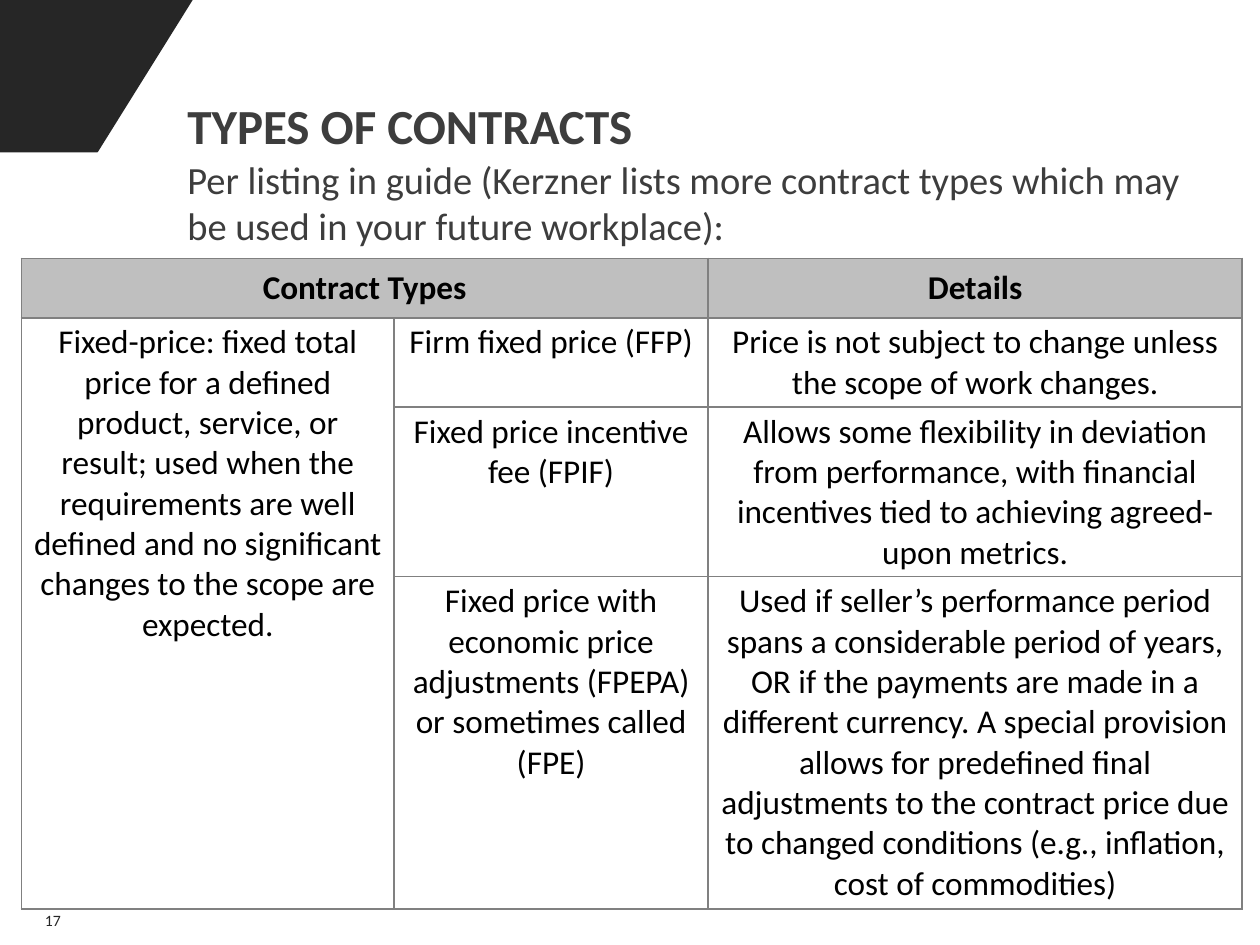
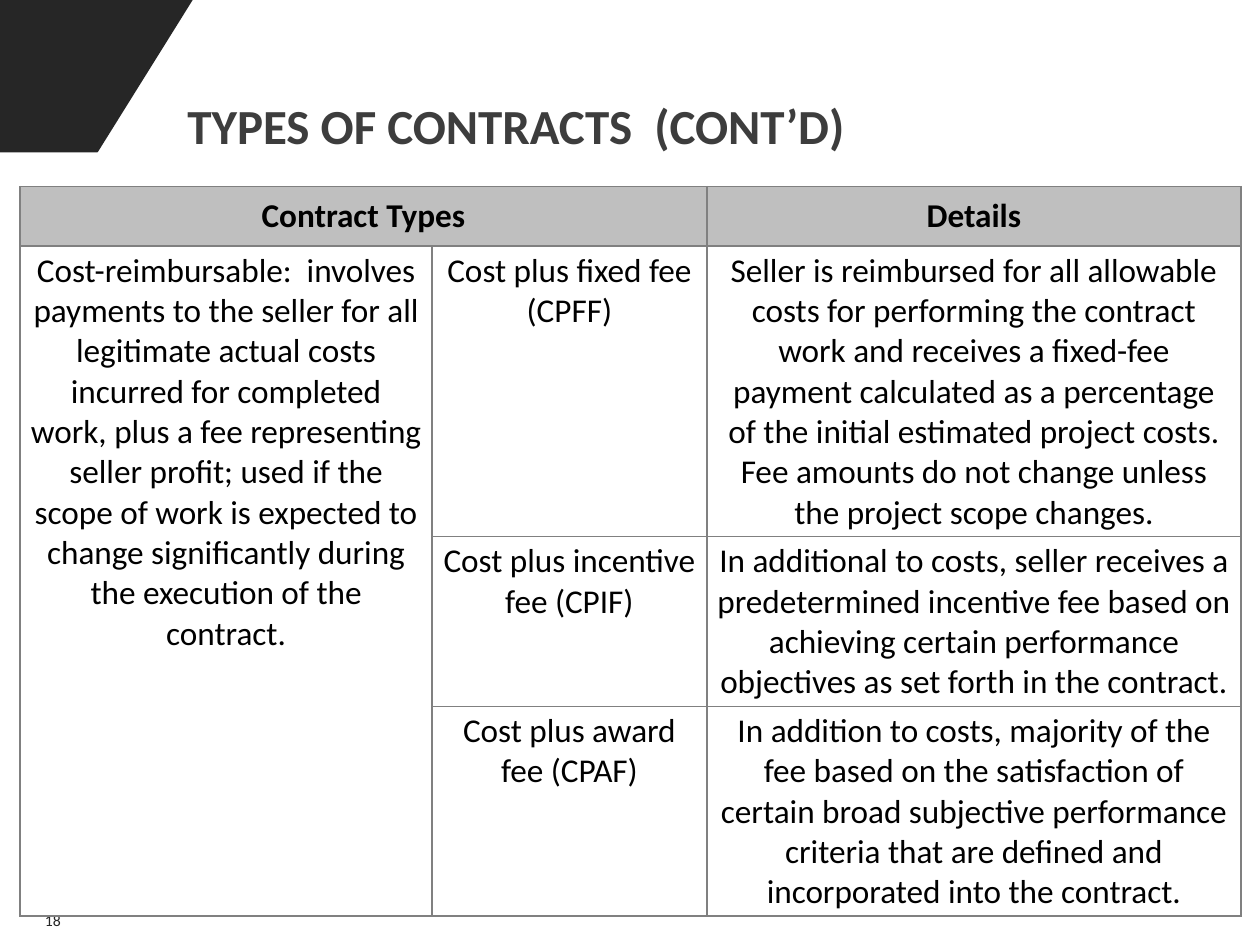
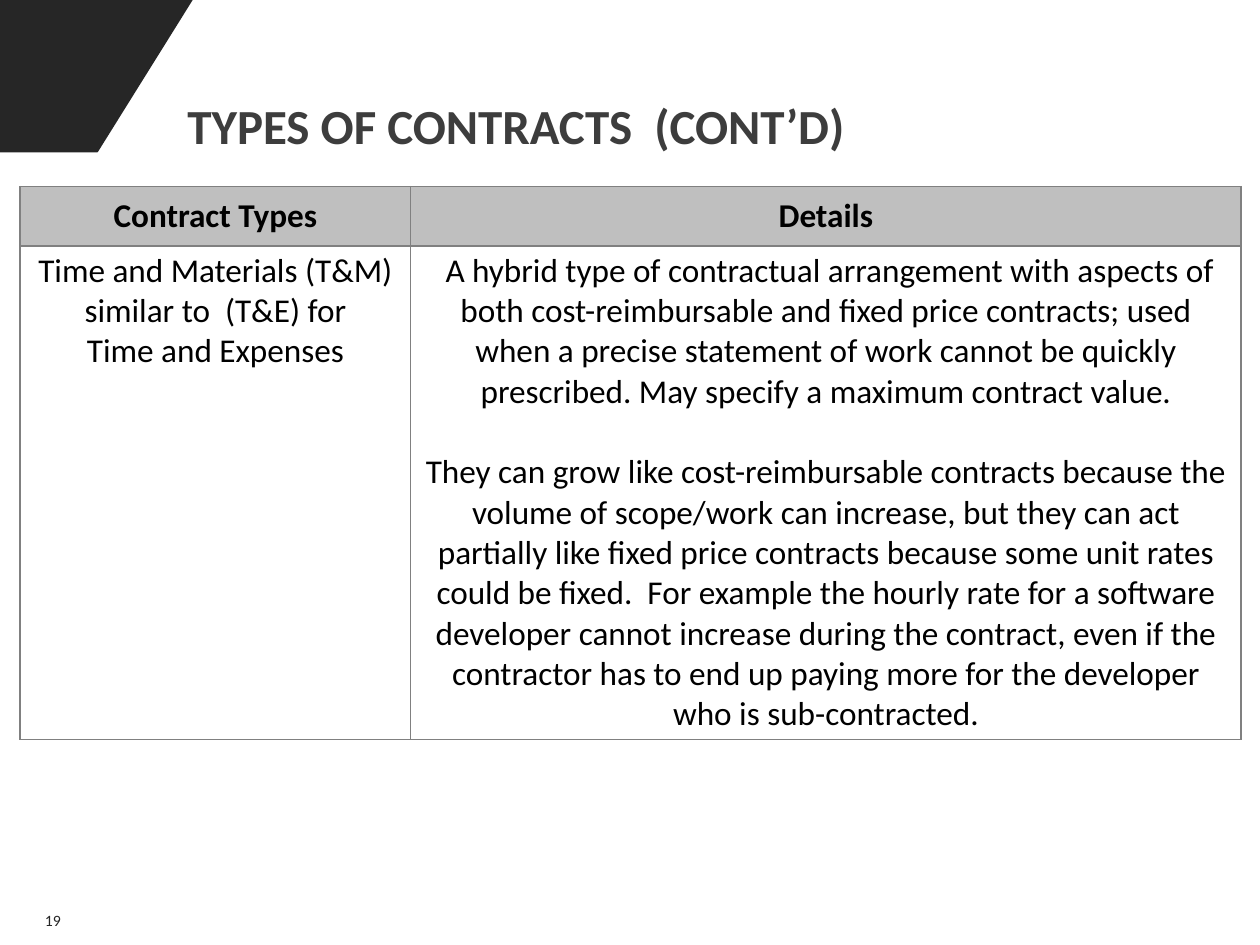
from lxml.etree import SubElement
from pptx import Presentation
from pptx.dml.color import RGBColor
from pptx.enum.shapes import MSO_SHAPE
from pptx.enum.text import MSO_ANCHOR, PP_ALIGN
from pptx.oxml.ns import qn
from pptx.util import Pt

DARK = RGBColor(0x26, 0x26, 0x26)
INK = RGBColor(0x3D, 0x3D, 0x3D)
BLACK = RGBColor(0, 0, 0)
HEAD = RGBColor(0xBF, 0xBF, 0xBF)
RULE = RGBColor(0x80, 0x80, 0x80)
FONT = "Calibri"
SIZE = 19
LINE = 23  # height of one line of table text
HEAD_ROW = 34

TITLE_BOX = (100, 31, 618.5, 61.2)
LEAD_BOX = (100, 85.7, 592.6, 78.5)
PAGE_BOX = (0, 511.2, 60.5, 28.8)

NEXT = "TYPES OF CONTRACTS  (CONT’D)"
LEAD = ("Per listing in guide (Kerzner lists more contract types which "
        "may be used in your future workplace):")

FIXED = (
    "Fixed-price: fixed total price for a defined product, service, or result; used when "
    "the requirements are well defined and no significant changes to the scope are expected.",
    [("Firm fixed price (FFP)",
      "Price is not subject to change unless the scope of work changes."),
     ("Fixed price incentive fee (FPIF)",
      "Allows some flexibility in deviation from performance, with financial incentives "
      "tied to achieving agreed-upon metrics."),
     ("Fixed price with economic price adjustments (FPEPA) or sometimes called (FPE)",
      "Used if seller’s performance period spans a considerable period of years, OR if the "
      "payments are made in a different currency. A special provision allows for predefined "
      "final adjustments to the contract price due to changed conditions (e.g., inflation, "
      "cost of commodities)")])

COST = (
    "Cost-reimbursable:  involves payments to the seller for all legitimate actual costs "
    "incurred for completed work, plus a fee representing seller profit; used if the scope "
    "of work is expected to change significantly during the execution of the contract.",
    [("Cost plus fixed fee (CPFF)",
      "Seller is reimbursed for all allowable costs for performing the contract work and "
      "receives a fixed-fee payment calculated as a percentage of the initial estimated "
      "project costs. Fee amounts do not change unless the project scope changes."),
     ("Cost plus incentive fee (CPIF)",
      "In additional to costs, seller receives a predetermined incentive fee based on "
      "achieving certain performance objectives as set forth in the contract."),
     ("Cost plus award fee (CPAF)",
      "In addition to costs, majority of the fee based on the satisfaction of certain broad "
      "subjective performance criteria that are defined and incorporated into the contract.")])

TIME = "Time and Materials (T&M)\nsimilar to  (T&E) for\nTime and Expenses"
HYBRID = (
    " A hybrid type of contractual arrangement with aspects of both cost-reimbursable and "
    "fixed price contracts; used when a precise statement of work cannot be quickly "
    "prescribed. May specify a maximum contract value.\n"
    "They can grow like cost-reimbursable contracts because the volume of scope/work can "
    "increase, but they can act partially like fixed price contracts because some unit rates "
    "could be fixed.  For example the hourly rate for a software developer cannot increase "
    "during the contract, even if the contractor has to end up paying more for the developer "
    "who is sub-contracted.")


def write(frame, text, size, color, bold=False, align=PP_ALIGN.LEFT, gap=0):
    """Fill a text frame, one paragraph per line of text, and return the first."""
    for i, line in enumerate(text.split("\n")):
        para = frame.add_paragraph() if i else frame.paragraphs[0]
        para.alignment = align
        if i and gap:
            para.space_before = Pt(gap)
        run = para.add_run()
        run.text = line
        font = run.font
        font.name, font.size, font.bold = FONT, Pt(size), bold
        font.color.rgb = color
    return frame.paragraphs[0]


def add_text(slide, box, text, size, color, anchor=MSO_ANCHOR.TOP, **style):
    frame = slide.shapes.add_textbox(*map(Pt, box)).text_frame
    frame.word_wrap = True
    frame.vertical_anchor = anchor
    return write(frame, text, size, color, **style)


def add_block(slide, kind, box):
    shape = slide.shapes.add_shape(kind, *map(Pt, box))
    shape.shadow.inherit = False
    shape.fill.solid()
    shape.fill.fore_color.rgb = DARK
    shape.line.fill.background()
    return shape


def add_base(deck, title, page):
    """Start a slide with the corner band, title and page number."""
    slide = deck.slides.add_slide(deck.slide_layouts[6])
    slant = add_block(slide, MSO_SHAPE.TRAPEZOID, (1.4, 0, 108.7, 87.1))
    slant.adjustments[0] = 0.775
    slant.rotation = 180
    add_block(slide, MSO_SHAPE.RECTANGLE, (-0.7, 0, 56.2, 87.1))
    para = add_text(slide, TITLE_BOX, title, 28, INK, MSO_ANCHOR.BOTTOM, bold=True)
    para.line_spacing = 0.9
    add_text(slide, PAGE_BOX, str(page), 9, DARK, MSO_ANCHOR.MIDDLE, align=PP_ALIGN.CENTER)
    return slide


def add_rules(cell):
    """Draw a line on all four sides of a cell."""
    props = cell._tc.get_or_add_tcPr()
    for side in ("lnL", "lnR", "lnT", "lnB"):
        line = SubElement(props, qn(f"a:{side}"), w=str(Pt(1)))
        fill = SubElement(line, qn("a:solidFill"))
        SubElement(fill, qn("a:srgbClr"), val=str(RULE))


def add_grid(slide, spot, cols, rows):
    """Place an empty ruled table with a grey head row."""
    size = sum(cols), sum(rows)
    grid = slide.shapes.add_table(len(rows), len(cols), *map(Pt, spot + size)).table
    grid.first_row = grid.horz_banding = False
    for col, width in zip(grid.columns, cols):
        col.width = Pt(width)
    for i, (row, height) in enumerate(zip(grid.rows, rows)):
        row.height = Pt(height)
        for cell in row.cells:
            add_rules(cell)
            cell.margin_left = cell.margin_right = Pt(5.4)
            cell.margin_top = cell.margin_bottom = Pt(2.7)
            if i:
                cell.fill.background()
            else:
                cell.fill.solid()
                cell.fill.fore_color.rgb = HEAD
                cell.vertical_anchor = MSO_ANCHOR.MIDDLE
    return grid


def put(grid, row, col, text, gap=0):
    write(grid.cell(row, col).text_frame, text, SIZE, BLACK,
          bold=row == 0, align=PP_ALIGN.CENTER, gap=gap)


def add_family(slide, spot, cols, rows, family):
    """Table of one contract family: its meaning at left, its kinds beside it."""
    grid = add_grid(slide, spot, cols, rows)
    meaning, kinds = family
    grid.cell(0, 0).merge(grid.cell(0, 1))
    grid.cell(1, 0).merge(grid.cell(len(kinds), 0))
    put(grid, 0, 0, "Contract Types")
    put(grid, 0, 2, "Details")
    put(grid, 1, 0, meaning)
    for i, (kind, detail) in enumerate(kinds, 1):
        put(grid, i, 1, kind)
        put(grid, i, 2, detail)


def add_hybrid(slide, spot):
    grid = add_grid(slide, spot, (223.2, 474.5), (HEAD_ROW, 282))
    put(grid, 0, 0, "Contract Types")
    put(grid, 0, 1, "Details")
    put(grid, 1, 0, TIME)
    put(grid, 1, 1, HYBRID, gap=LINE)


def main():
    deck = Presentation()
    deck.slide_width, deck.slide_height = Pt(720), Pt(540)

    slide = add_base(deck, "TYPES OF CONTRACTS", 17)
    add_text(slide, LEAD_BOX, LEAD, 22, INK)
    add_family(slide, (12.2, 147.6), (213.1, 179.3, 305.3), (HEAD_ROW, 51, 97, 190), FIXED)

    spot = (11.5, 106.6)
    slide = add_base(deck, NEXT, 18)
    add_family(slide, spot, (235.4, 157, 305.3), (HEAD_ROW, 166, 97, 120), COST)

    add_hybrid(add_base(deck, NEXT, 19), spot)
    deck.save("out.pptx")


if __name__ == "__main__":
    main()
